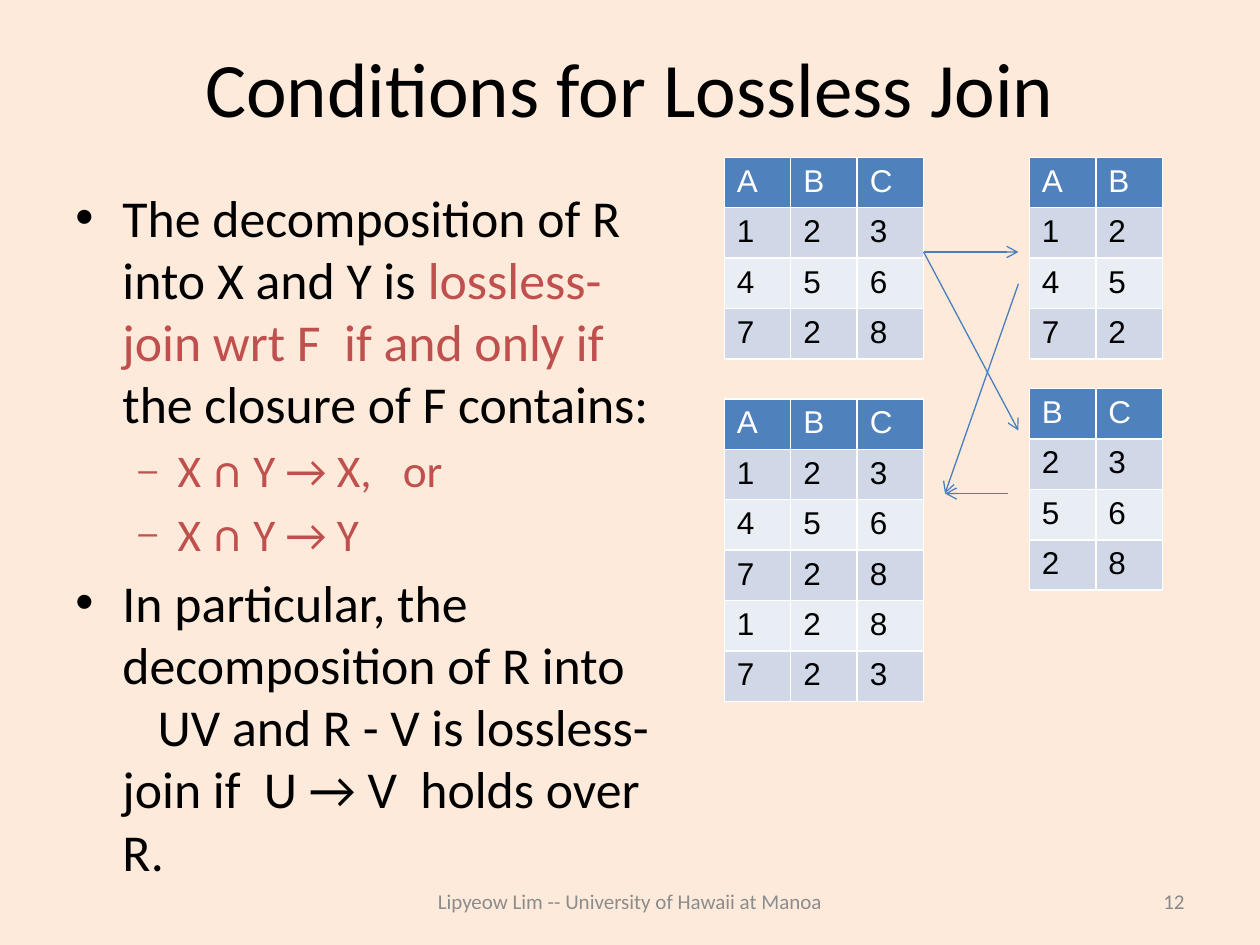
from lxml import etree
from pptx import Presentation
from pptx import util as u
from pptx.dml.color import RGBColor
from pptx.enum import shapes, text
from pptx.oxml.ns import qn

COLORS = {
    "background": "FDEADA", "text": "000000", "accent": "C0504D",
    "footer": "8C8C8C", "number": "898989", "arrow": "4B7EBC",
    "header": "4F81BD", "header_text": "FFFFFF",
    "odd_row": "D0D8E8", "even_row": "E9EDF4",
}


def add_run(p, words, color, **fmt):
    r = p.add_run()
    r.text = words
    r.font.color.rgb = RGBColor.from_string(COLORS[color])
    for name, value in fmt.items():
        setattr(r.font, name, value)


def add_sub(parent, tag, **attrs):
    return etree.SubElement(parent, qn(tag), attrs)


prs = Presentation()
prs.slide_width, prs.slide_height = u.Cm(25.4), u.Cm(19.05)
s = prs.slides.add_slide(prs.slide_layouts[6])
s.background.fill.solid()
s.background.fill.fore_color.rgb = RGBColor.from_string(COLORS["background"])

# Title, footer and slide number: words, box in cm, alignment, size, colour
center, right = text.PP_ALIGN.CENTER, text.PP_ALIGN.RIGHT
for words, box, align, size, color in [
    ("Conditions for Lossless Join", (1.27, 0.76, 22.86, 1.98), center, 44, "text"),
    ("Lipyeow Lim -- University of Hawaii at Manoa", (7.62, 17.65, 10.16, 1.02),
     center, 12, "footer"),
    ("12", (18.21, 17.65, 5.92, 1.02), right, 12, "number"),
]:
    tf = s.shapes.add_textbox(*map(u.Cm, box)).text_frame
    tf.word_wrap = True
    tf.vertical_anchor = text.MSO_ANCHOR.MIDDLE
    tf.paragraphs[0].alignment = align
    add_run(tf.paragraphs[0], words, color, size=u.Pt(size), name="Calibri")

# Body: each paragraph is a kind and its runs (words, colour, bold)
KINDS = {
    "point": dict(level=0, left=0.95, indent=-0.95, bullet="•", scale="100000",
                  before=6, size=29.6),
    "condition": dict(level=1, left=2.06, indent=-0.79, bullet="–", scale="75000",
                      before=5, size=25.9),
    "continued": dict(level=0, left=0.95, indent=0.71, bullet=None, before=0, size=29.6),
}
body = [
    ("point", [("The decomposition of R into X and Y is ", "text", False),
               ("lossless-join wrt F  if and only if ", "accent", False),
               ("the closure of F contains:", "text", False)]),
    ("condition", [("X ", "accent", False), ("∩ ", "accent", True),
                   ("Y → X,\tor", "accent", False)]),
    ("condition", [("X ", "accent", False), ("∩", "accent", True),
                   (" Y → Y", "accent", False)]),
    ("point", [("In particular, the decomposition of R into", "text", False)]),
    ("continued", [("UV and R - V is lossless-join if  U → V  holds over R.",
                    "text", False)]),
]
tf = s.shapes.add_textbox(*map(u.Cm, (1.27, 3.61, 12.7, 13.41))).text_frame
tf.word_wrap = True
for i, (kind, runs) in enumerate(body):
    k = KINDS[kind]
    p = tf.add_paragraph() if i else tf.paragraphs[0]
    p.level = k["level"]
    pPr = p._p.get_or_add_pPr()
    pPr.set("marL", str(u.Cm(k["left"])))
    pPr.set("indent", str(u.Cm(k["indent"])))
    if k["bullet"]:
        add_sub(pPr, "a:buSzPct", val=k["scale"])
        add_sub(pPr, "a:buFont", typeface="Arial")
        add_sub(pPr, "a:buChar", char=k["bullet"])
    else:
        add_sub(pPr, "a:buNone")
    if kind == "condition":
        add_sub(add_sub(pPr, "a:tabLst"), "a:tab", pos=str(u.Cm(6.6)), algn="l")
    p.space_before = u.Pt(k["before"] if i else 0)
    for words, color, bold in runs:
        add_run(p, words, color, size=u.Pt(k["size"]), name="Calibri", bold=bold)

# Relations: left, top in cm, then rows with one character per cell
COL, ROW = 1.34, 0.97
for left, top, rows in [
    (14.6, 3.17, ["ABC", "123", "456", "728"]),
    (20.75, 3.17, ["AB", "12", "45", "72"]),
    (20.75, 7.83, ["BC", "23", "56", "28"]),
    (14.6, 8.04, ["ABC", "123", "456", "728", "128", "723"]),
]:
    n = len(rows[0])
    table = s.shapes.add_table(len(rows), n, u.Cm(left), u.Cm(top),
                               u.Cm(COL * n), u.Cm(ROW * len(rows))).table
    for i, values in enumerate(rows):
        fill = "header" if i == 0 else "odd_row" if i % 2 else "even_row"
        for j, value in enumerate(values):
            cell = table.cell(i, j)
            cell.fill.solid()
            cell.fill.fore_color.rgb = RGBColor.from_string(COLORS[fill])
            add_run(cell.text_frame.paragraphs[0], value,
                    "text" if i else "header_text",
                    size=u.Pt(18), name="Arial", bold=False)

# Arrows: start x, y and end x, y in cm
for ends in [
    (18.62, 5.08, 20.53, 5.08),
    (18.62, 5.08, 20.53, 8.68),
    (20.53, 5.72, 19.05, 9.95),
    (20.32, 9.95, 19.05, 9.95),
]:
    sp = s.shapes.add_connector(shapes.MSO_CONNECTOR.STRAIGHT, *map(u.Cm, ends))
    sp.line.width = u.Pt(0.75)
    sp.line.color.rgb = RGBColor.from_string(COLORS["arrow"])
    add_sub(sp.line._get_or_add_ln(), "a:tailEnd", type="arrow")
    add_sub(sp._element.spPr, "a:effectLst")

prs.save("out.pptx")
